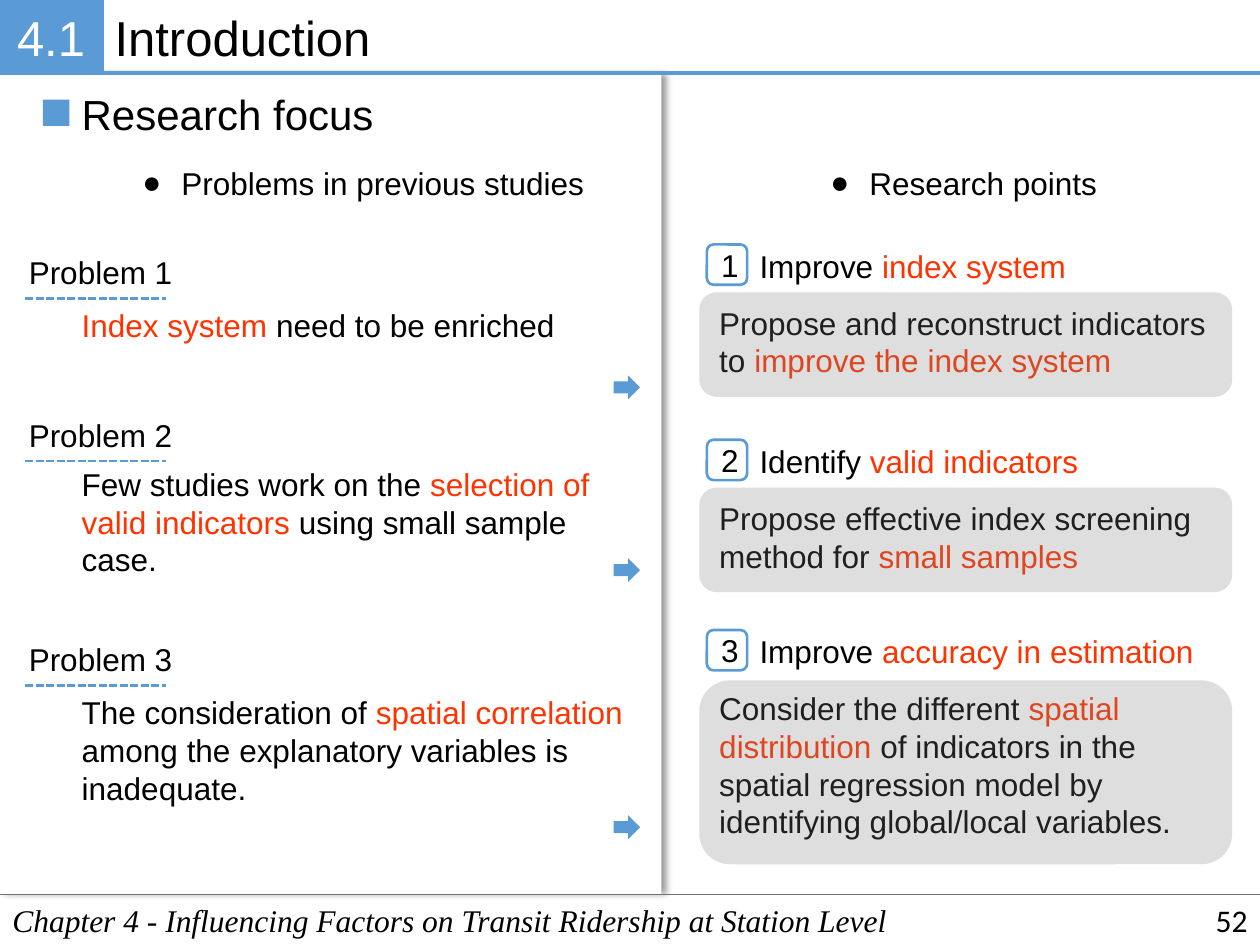
from lxml.etree import SubElement
from pptx import Presentation
from pptx.dml.color import RGBColor
from pptx.enum.dml import MSO_LINE
from pptx.enum.shapes import MSO_CONNECTOR as Connector, MSO_SHAPE as Shape
from pptx.enum.text import MSO_ANCHOR as Anchor, MSO_AUTO_SIZE as AutoSize, PP_ALIGN as Align
from pptx.oxml.ns import qn
from pptx.util import Inches, Pt

BLACK = RGBColor(0x00, 0x00, 0x00)
WHITE = RGBColor(0xFF, 0xFF, 0xFF)
BLUE = RGBColor(0x5B, 0x9B, 0xD5)
RED = RGBColor(0xFF, 0x33, 0x00)
GRAY = RGBColor(0x7F, 0x7F, 0x7F)
RULE_GRAY = RGBColor(0x76, 0x71, 0x71)

PROBLEMS = [
    (1.96, 0.42, 0.4, 2.98, [("Index system ", RED), ("need to be enriched", BLACK)]),
    (3.25, 0.39, 0.71, 4.43, [("Few studies work on the ", BLACK),
                              ("selection of valid indicators ", RED),
                              ("using small sample case.", BLACK)]),
    (5.03, 0.42, 1.01, 6.47, [("The consideration of ", BLACK),
                              ("spatial correlation ", RED),
                              ("among the explanatory variables is inadequate.", BLACK)]),
]
POINTS = [
    (1.91, 0.41, 0.83, 0.45, [("Improve ", BLACK), ("index system", RED)],
     [("Propose and reconstruct indicators to ", BLACK), ("improve the index system", RED)]),
    (3.46, 0.41, 0.83, 0.45, [("Identify ", BLACK), ("valid indicators", RED)],
     [("Propose effective index screening method for ", BLACK), ("small samples", RED)]),
    (4.97, 0.43, 1.46, 0.45, [("Improve ", BLACK), ("accuracy in estimation", RED)],
     [("Consider the different ", BLACK), ("spatial distribution", RED),
      (" of indicators in the spatial regression model by identifying global/local variables.",
       BLACK)]),
]


def write(frame, spans, size=18, font="Arial", align=Align.LEFT, italic=False):
    """Write coloured spans into the first paragraph of a text frame."""
    para = frame.paragraphs[0]
    para.alignment = align
    para.space_before = Pt(0)
    for text, color in spans:
        span = para.add_run()
        span.text = text
        span.font.size = Pt(size)
        span.font.name = font
        span.font.italic = italic
        span.font.color.rgb = color


def add_text(page, left, top, width, height, spans, wrap=True, **style):
    """Add a text box holding one paragraph."""
    box = page.shapes.add_textbox(Inches(left), Inches(top), Inches(width), Inches(height))
    box.text_frame.word_wrap = wrap
    write(box.text_frame, spans, **style)
    return box


def add_block(page, kind, left, top, width, height, fill=None, line=None, weight=1):
    """Add a preset shape with an optional fill and outline."""
    block = page.shapes.add_shape(kind, Inches(left), Inches(top), Inches(width), Inches(height))
    block.shadow.inherit = False
    if fill is None:
        block.fill.background()
    else:
        block.fill.solid()
        block.fill.fore_color.rgb = fill
    if line is None:
        block.line.fill.background()
    else:
        block.line.color.rgb = line
        block.line.width = Pt(weight)
    return block


def add_rule(page, left, top, right, color, weight, dash=None):
    """Add a horizontal line."""
    rule = page.shapes.add_connector(
        Connector.STRAIGHT, Inches(left), Inches(top), Inches(right), Inches(top))
    rule.line.color.rgb = color
    rule.line.width = Pt(weight)
    if dash is not None:
        rule.line.dash_style = dash
    SubElement(rule.element.spPr, qn("a:effectLst"))


def place(holder, left, top, width, height):
    """Move a placeholder and fix its text size."""
    holder.left, holder.top = Inches(left), Inches(top)
    holder.width, holder.height = Inches(width), Inches(height)
    holder.text_frame.auto_size = AutoSize.NONE
    return holder.text_frame


def add_panel(page, left, top, width, height):
    """Add the white left panel, behind everything, with a shadow on its right."""
    panel = add_block(page, Shape.RECTANGLE, left, top, width, height, WHITE)
    effects = panel.element.spPr.find(qn("a:effectLst"))
    shadow = SubElement(effects, qn("a:outerShdw"), blurRad=str(Pt(4)), dist=str(Pt(3)),
                        dir="0", algn="l", rotWithShape="0")
    color = SubElement(shadow, qn("a:srgbClr"), val=str(BLACK))
    SubElement(color, qn("a:alpha"), val="40000")
    panel.element.getparent().insert(2, panel.element)


def add_header(page, width, height):
    """Add the section number, the title and the rule below them."""
    tab = 0.81
    frame = place(page.shapes.title, tab, 0.01, width - tab, height - 0.01)
    frame.vertical_anchor = Anchor.TOP
    write(frame, [("Introduction", BLACK)], size=28)
    number = add_block(page, Shape.RECTANGLE, 0, 0, tab, height, BLUE, BLUE, 2.25)
    frame = number.text_frame
    frame.margin_left = frame.margin_right = Inches(0.06)
    frame.margin_top = frame.margin_bottom = Inches(0.06)
    frame.vertical_anchor = Anchor.MIDDLE
    write(frame, [("4.1", WHITE)], size=28, align=Align.CENTER)
    add_rule(page, tab, height, width, BLUE, 2.25)


def add_footer(page, top, width, height):
    """Add the chapter name and the page number under a rule."""
    add_rule(page, 0, top, width, RULE_GRAY, 1)
    chapter = "Chapter 4 - Influencing Factors on Transit Ridership at Station Level"
    add_text(page, 0, top, width, height, [(chapter, BLACK)],
             font="Times New Roman", italic=True)
    number = add_text(page, width - 2.25, top, 2.25, height, [("52", BLACK)],
                      font="Calibri", align=Align.RIGHT)
    number.text_frame.vertical_anchor = Anchor.MIDDLE


def add_column_heading(holder, left, top, width, text):
    """Write a bulleted column heading into a body placeholder."""
    frame = place(holder, left, top, width, 0.4)
    frame.word_wrap = False
    props = frame.paragraphs[0]._p.get_or_add_pPr()
    props.set("marL", str(Inches(0.31)))
    props.set("indent", str(-Inches(0.31)))
    SubElement(props, qn("a:buFont"), typeface="Arial")
    SubElement(props, qn("a:buChar"), char="●")
    write(frame, [(text, BLACK)])


def add_problem(page, left, top, number, gap, height, arrow_top, spans):
    """Add one problem: label, dashed underline, description and arrow."""
    add_text(page, left, top, 1.35, 0.4, [(f"Problem {number}", BLACK)], wrap=False)
    add_text(page, left + 0.42, top + gap, 4.71, height, spans)
    add_block(page, Shape.RIGHT_ARROW, left + 4.74, arrow_top, 0.21, 0.19, BLUE)
    add_rule(page, left + 0.07, top + 0.41, left + 1.19, BLUE, 1.5, MSO_LINE.SQUARE_DOT)


def add_point(page, left, top, number, gap, height, text_gap, heading, spans):
    """Add one research point: numbered badge, heading and tinted description."""
    badge = add_block(page, Shape.ROUNDED_RECTANGLE, left + 0.06, top + 0.03, 0.32, 0.32,
                      line=BLUE, weight=1.5)
    badge.text_frame.vertical_anchor = Anchor.MIDDLE
    write(badge.text_frame, [(str(number), BLACK)], align=Align.CENTER)
    add_text(page, left + 0.38, top, 4, 0.4, heading)
    add_text(page, left + 0.06, top + text_gap, 4.09, height - 0.12, spans)
    tint = add_block(page, Shape.ROUNDED_RECTANGLE, left, top + gap, 4.23, height, GRAY)
    color = tint.element.spPr.find(qn("a:solidFill")).find(qn("a:srgbClr"))
    SubElement(color, qn("a:alpha"), val="25000")


def main():
    """Build the slide and save it."""
    deck = Presentation()
    deck.slide_width, deck.slide_height = Inches(10), Inches(7.5)
    page = deck.slides.add_slide(deck.slide_layouts[3])
    add_panel(page, 0, 0.59, 5.25, 6.51)
    add_footer(page, 7.1, 10, 0.4)
    add_header(page, 10, 0.58)
    add_block(page, Shape.RECTANGLE, 0.34, 0.79, 0.21, 0.21, BLUE)
    add_text(page, 0.55, 0.65, 2.54, 0.5, [("Research focus", BLACK)], wrap=False, size=24)
    add_column_heading(page.placeholders[1], 1.03, 1.25, 3.74, "Problems in previous studies")
    add_column_heading(page.placeholders[2], 6.49, 1.25, 2.34, "Research points")
    for number, (top, *parts) in enumerate(PROBLEMS, 1):
        add_problem(page, 0.13, top, number, *parts)
    for number, (top, *parts) in enumerate(POINTS, 1):
        add_point(page, 5.55, top, number, *parts)
    deck.save("out.pptx")


if __name__ == "__main__":
    main()
